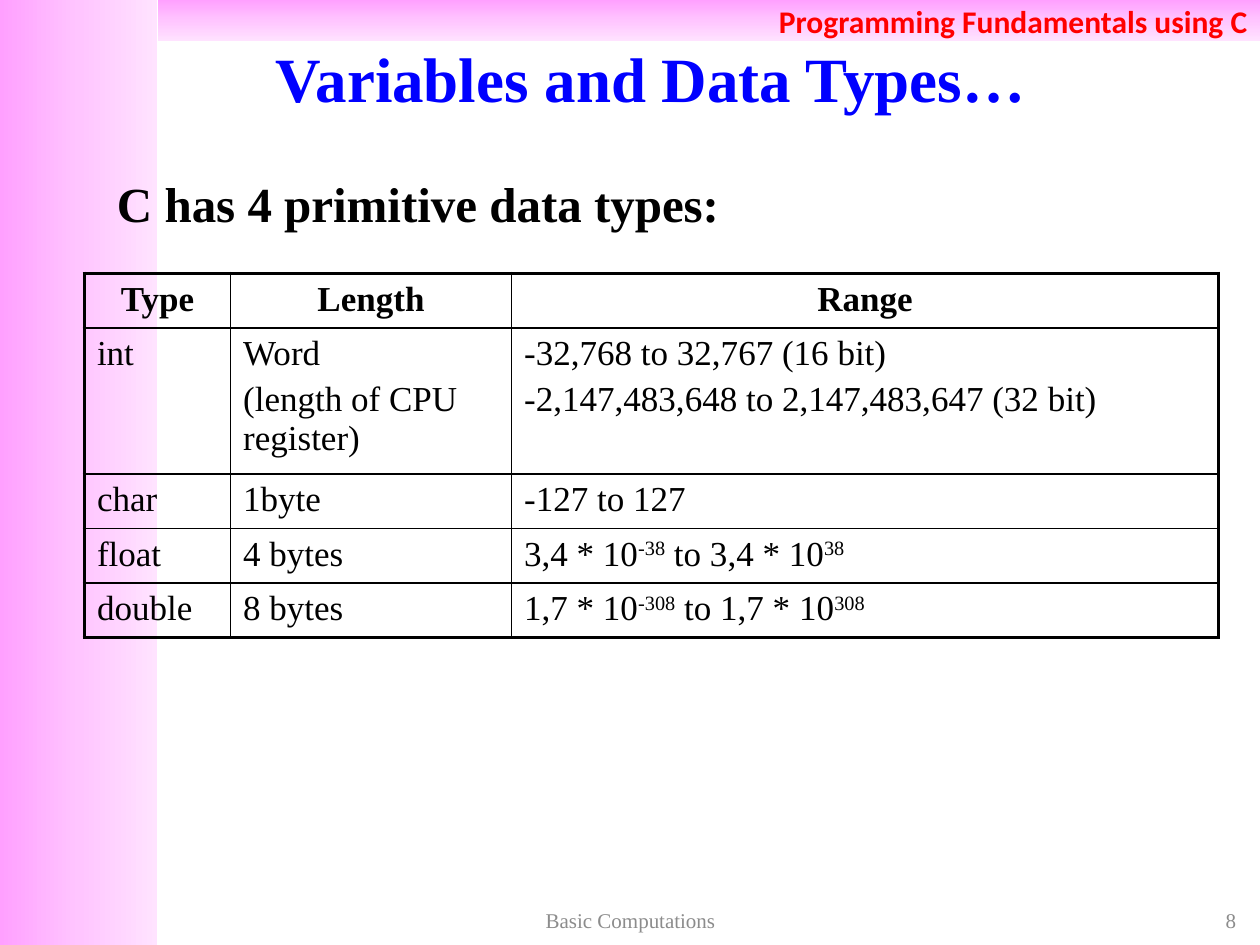
from copy import deepcopy

from lxml.etree import SubElement
from pptx import Presentation
from pptx.dml.color import RGBColor
from pptx.enum.shapes import MSO_SHAPE
from pptx.enum.text import MSO_ANCHOR, PP_ALIGN
from pptx.oxml.ns import qn
from pptx.util import Inches, Pt


def color(hex_code):
    return RGBColor.from_string(hex_code)


def write(frame, text, size, hex_code, bold=False, align=PP_ALIGN.LEFT, font="Times New Roman"):
    """Fill a text frame; text between carets is superscript."""
    frame.word_wrap = True
    frame.text = text.replace("^", "")
    for paragraph, line in zip(frame.paragraphs, text.split("\n")):
        paragraph.alignment = align
        paragraph.text = ""
        for index, part in enumerate(filter(None, line.split("^"))):
            run = paragraph.add_run()
            run.text = part
            run.font.name = font
            run.font.size = Pt(size)
            run.font.bold = bold
            run.font.color.rgb = color(hex_code)
            if index % 2:
                run.font._element.set("baseline", "30000")


prs = Presentation()
prs.slide_width, prs.slide_height = Inches(10), Inches(7.5)
slide = prs.slides.add_slide(prs.slide_layouts[6])

# Pink side and top bands
bands = []
for left, width, height, angle in [(0, 1.25, 7.5, 0), (1.25, 8.75, 0.33, 270)]:
    band = slide.shapes.add_shape(
        MSO_SHAPE.RECTANGLE, Inches(left), 0, Inches(width), Inches(height))
    band.shadow.inherit = False
    band.line.fill.background()
    band.fill.gradient()
    band.fill.gradient_angle = angle
    stops = band._element.spPr.find(".//" + qn("a:gsLst"))
    stops.insert(1, deepcopy(stops[0]))
    for stop, position, shade in zip(
            band.fill.gradient_stops, (0, 0.5, 1), ("FFA0FF", "FFC5FF", "FFE3FF")):
        stop.position = position
        stop.color.rgb = color(shade)
    bands.append(band)

course = bands[1].text_frame
course.vertical_anchor = MSO_ANCHOR.MIDDLE
write(course, "Programming Fundamentals using C", 18, "FF0000", True, PP_ALIGN.RIGHT, "Calibri")

# Title, lead sentence and footer
texts = [
    (0.83, 0.3, 8.67, 0.62, MSO_ANCHOR.MIDDLE,
     ("Variables and Data Types…", 36, "0000FF", True, PP_ALIGN.CENTER)),
    (0.83, 1.33, 8.58, 0.58, MSO_ANCHOR.TOP,
     ("C has 4 primitive data types:", 28, "000000", True, PP_ALIGN.JUSTIFY)),
    (7.58, 7.17, 2.33, 0.27, MSO_ANCHOR.MIDDLE,
     ("8", 12, "8C8C8C", False, PP_ALIGN.RIGHT)),
    (3.42, 7.17, 3.17, 0.27, MSO_ANCHOR.MIDDLE,
     ("Basic Computations", 12, "8C8C8C", False, PP_ALIGN.CENTER)),
]
for left, top, width, height, anchor, content in texts:
    frame = slide.shapes.add_textbox(
        Inches(left), Inches(top), Inches(width), Inches(height)).text_frame
    frame.vertical_anchor = anchor
    write(frame, *content)

# Data types
data_types = [
    ("Type", "Length", "Range"),
    ("int", "Word\n(length of CPU register)",
     "-32,768 to 32,767 (16 bit)\n-2,147,483,648 to 2,147,483,647 (32 bit)"),
    ("char", "1byte", "-127 to 127"),
    ("float", "4 bytes", "3,4 * 10^-38^ to 3,4 * 10^38"),
    ("double", "8 bytes", "1,7 * 10^-308^ to 1,7 * 10^308"),
]
column_widths = [1.16, 2.23, 5.61]
row_heights = [0.41, 1.08, 0.41, 0.41, 0.41]
table = slide.shapes.add_table(
    len(row_heights), len(column_widths), Inches(0.67), Inches(2.17),
    Inches(sum(column_widths)), Inches(sum(row_heights))).table
for column, width in zip(table.columns, column_widths):
    column.width = Inches(width)
for row, height in zip(table.rows, row_heights):
    row.height = Inches(height)

last_row, last_column = len(row_heights) - 1, len(column_widths) - 1
for r, values in enumerate(data_types):
    for c, value in enumerate(values):
        cell = table.cell(r, c)
        header = r == 0
        write(cell.text_frame, value, 20, "000000", header,
              PP_ALIGN.CENTER if header else PP_ALIGN.LEFT)
        for paragraph in cell.text_frame.paragraphs:
            paragraph.space_before = Pt(4)
        properties = cell._tc.get_or_add_tcPr()
        outer_edges = {"L": c == 0, "R": c == last_column, "T": r == 0, "B": r == last_row}
        for side, outer in outer_edges.items():
            border = SubElement(properties, qn(f"a:ln{side}"), w=str(Pt(2.25 if outer else 1)))
            fill = SubElement(border, qn("a:solidFill"))
            SubElement(fill, qn("a:srgbClr"), val="000000")
        cell.fill.background()

prs.save("out.pptx")
